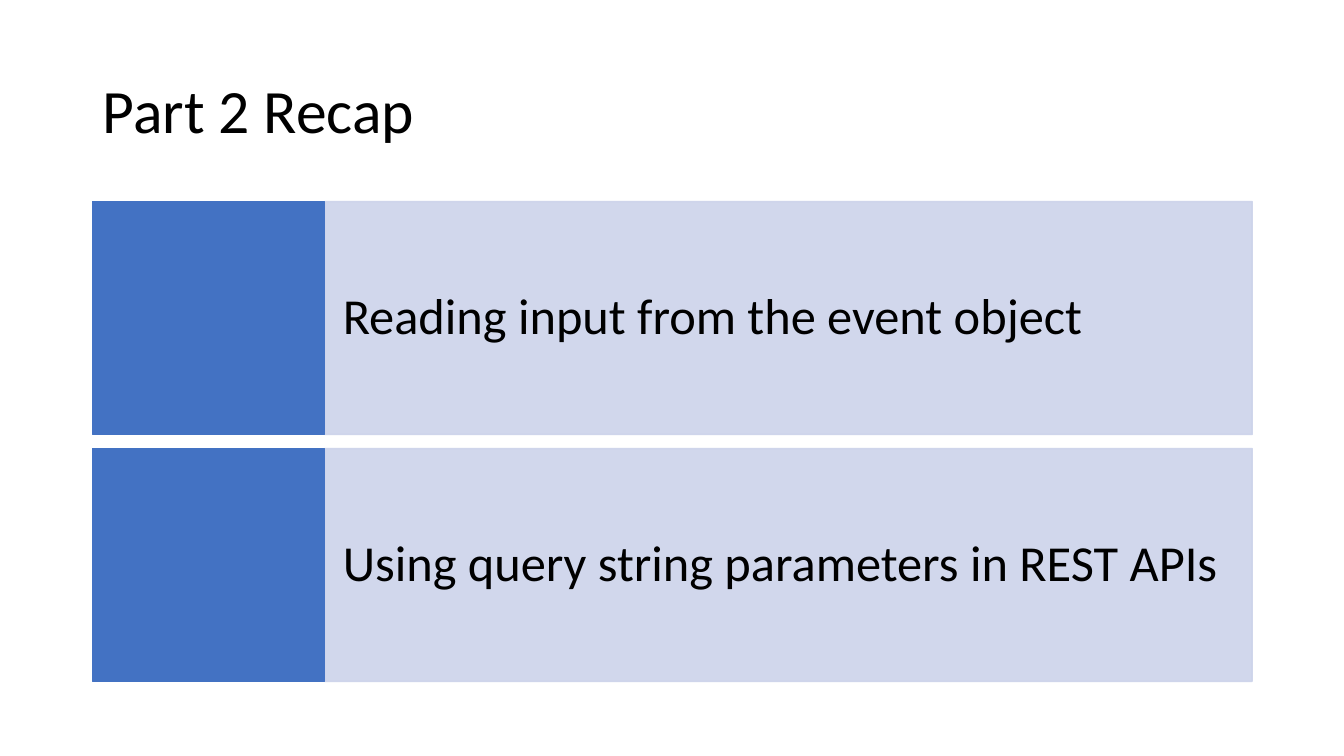
from lxml import etree
from pptx import Presentation
from pptx.dml.color import RGBColor
from pptx.enum.shapes import MSO_SHAPE
from pptx.enum.text import MSO_ANCHOR, PP_ALIGN
from pptx.oxml.ns import qn
from pptx.util import Inches, Pt

RECT = MSO_SHAPE.RECTANGLE
MIDDLE = MSO_ANCHOR.MIDDLE
LEFT = PP_ALIGN.LEFT

TOPICS = [
    "Reading input from the event object",
    "Using query string parameters in REST APIs",
]
EDGE, TOP = 0.92, 2
TILE, BAND, HIGH = 2.3, 9.2, 2.31
STEP = 2.45


def color(code):
    return RGBColor.from_string(code)


class Deck:
    font = "Calibri"
    ink = "000000"
    blue = "4372C3"
    pale = "CCD3EA"

    def __init__(self):
        self.show = Presentation()
        self.show.slide_width = Inches(13.33)
        self.show.slide_height = Inches(7.5)
        self.slide = self.show.slides.add_slide(self.show.slide_layouts[6])

    def text(self, words, box, size=36, side=0.1, edge=0.05):
        frame = self.slide.shapes.add_textbox(*map(Inches, box)).text_frame
        frame.word_wrap = True
        frame.vertical_anchor = MIDDLE
        frame.margin_left = frame.margin_right = Inches(side)
        frame.margin_top = frame.margin_bottom = Inches(edge)
        para = frame.paragraphs[0]
        para.alignment = LEFT
        para.line_spacing = 0.9
        run = para.add_run()
        run.text = words
        run.font.name = self.font
        run.font.size = Pt(size)
        run.font.color.rgb = color(self.ink)

    def block(self, box, code, alpha=100):
        """Draw a rectangle; alpha is its opacity in percent."""
        shape = self.slide.shapes.add_shape(RECT, *map(Inches, box))
        shape.shadow.inherit = False
        shape.line.width = Pt(1)
        for fill in (shape.fill, shape.line.fill):
            fill.solid()
            fill.fore_color.rgb = color(code)
        if alpha < 100:
            for tint in shape.element.spPr.iter(qn("a:srgbClr")):
                etree.SubElement(tint, qn("a:alpha"), val=str(alpha * 1000))

    def topic(self, words, top):
        band = (EDGE + TILE, top, BAND, HIGH)
        self.block(band, self.pale, alpha=90)
        self.text(words, band, side=0.18, edge=0.59)
        self.block((EDGE, top, TILE, HIGH), self.blue)


def main():
    deck = Deck()
    deck.text("Part 2 Recap", (EDGE, 0.4, TILE + BAND, 1.45), size=44)
    for row, words in enumerate(TOPICS):
        deck.topic(words, TOP + row * STEP)
    deck.show.save("out.pptx")


if __name__ == "__main__":
    main()
